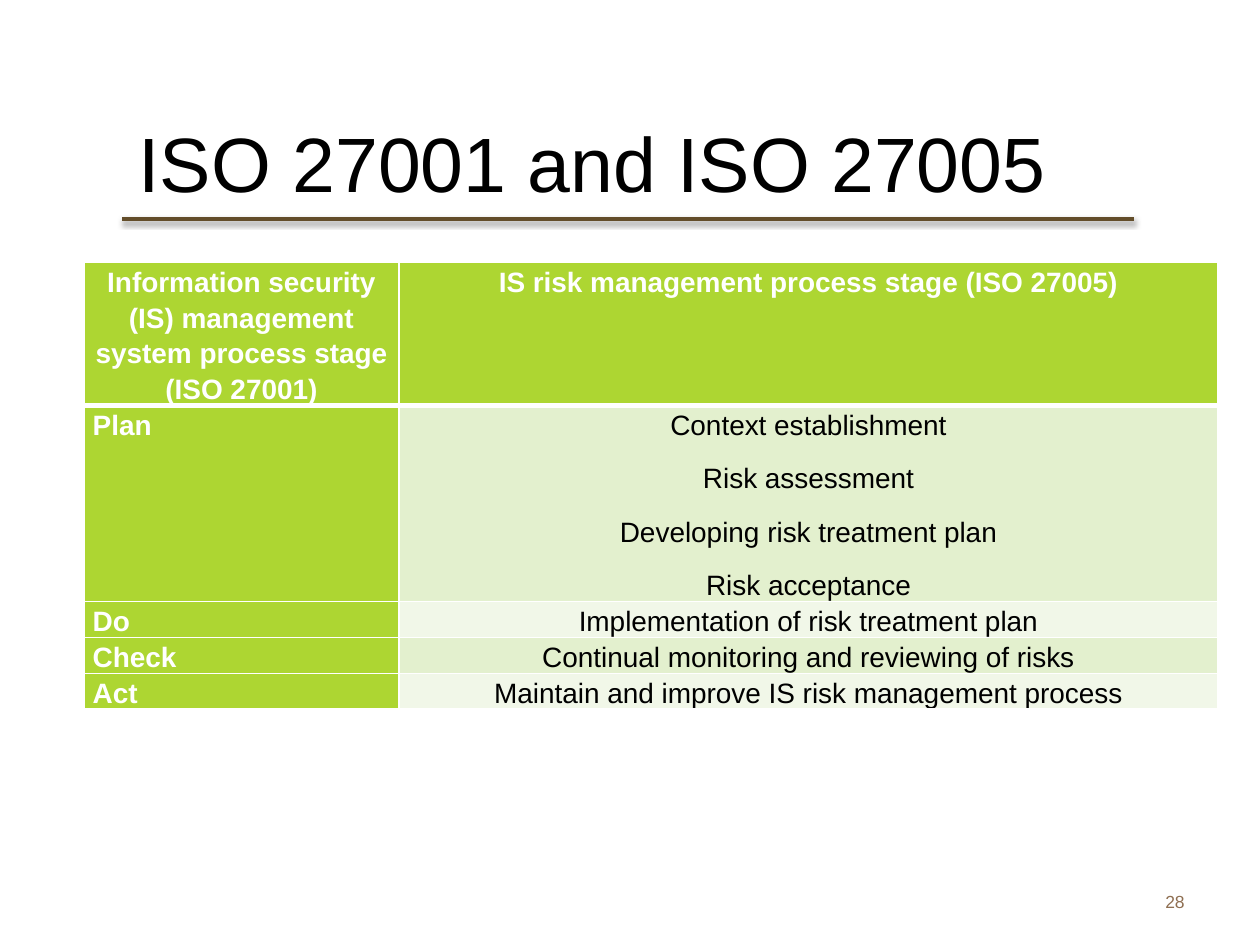
import pptx
import pptx.dml.color
import pptx.enum.text
import pptx.oxml
import pptx.oxml.ns
import pptx.util
from pptx.util import Pt

FONT = "Arial"
WHITE, BLACK = "FFFFFF", "000000"
GREEN, BAND_DARK, BAND_LIGHT = "ADD632", "E3F0CE", "F1F7E8"
BROWN, NUMBER_BROWN = "634D2A", "8F6F52"
ALIGN = pptx.enum.text.PP_ALIGN
ANCHOR = pptx.enum.text.MSO_ANCHOR

HEADERS = [
    "Information security (IS) management system process stage (ISO 27001)",
    "IS risk management process stage (ISO 27005)",
]
STAGES = [
    ("Plan", ["Context establishment", "Risk assessment",
              "Developing risk treatment plan", "Risk acceptance"]),
    ("Do", ["Implementation of risk treatment plan"]),
    ("Check", ["Continual monitoring and reviewing of risks"]),
    ("Act", ["Maintain and improve IS risk management process"]),
]
COLUMN_WIDTHS = [180, 468]
ROW_HEIGHTS = [81.5, 112, 20.4, 20.4, 20.4]


def color(hex_string):
    return pptx.dml.color.RGBColor.from_string(hex_string)


def parse_xml(tag, attributes, content):
    namespace = pptx.oxml.ns.nsdecls("a")
    return pptx.oxml.parse_xml(
        f"<a:{tag} {namespace} {attributes}>{content}</a:{tag}>")


def add_run(paragraph, text, size, hex_color, bold=False):
    run = paragraph.add_run()
    run.text = text
    run.font.name = FONT
    run.font.size = Pt(size)
    run.font.bold = bold
    run.font.color.rgb = color(hex_color)


def add_title(slide, text):
    title = slide.shapes.title
    title.left, title.top, title.width, title.height = Pt(72), Pt(59), Pt(570), Pt(67)
    frame = title.text_frame
    frame.auto_size = pptx.enum.text.MSO_AUTO_SIZE.NONE
    frame.vertical_anchor = ANCHOR.MIDDLE
    paragraph = frame.paragraphs[0]
    paragraph.alignment = ALIGN.LEFT
    add_run(paragraph, text, 44, BLACK)


def add_title_rule(slide):
    rule = slide.shapes.add_connector(
        pptx.enum.shapes.MSO_CONNECTOR.STRAIGHT, Pt(70), Pt(125.3), Pt(648), Pt(125.3))
    rule.line.color.rgb = color(BROWN)
    rule.line.width = Pt(2)
    shadow = (f'<a:outerShdw blurRad="{Pt(3.1)}" dist="{Pt(1.6)}" dir="5400000" '
              f'rotWithShape="0"><a:srgbClr val="{BLACK}"><a:alpha val="38000"/>'
              '</a:srgbClr></a:outerShdw>')
    rule._element.spPr.append(parse_xml("effectLst", "", shadow))


def add_page_number(slide, text):
    box = slide.shapes.add_textbox(Pt(516), Pt(500.5), Pt(168), Pt(28.8))
    frame = box.text_frame
    frame.word_wrap = True
    frame.vertical_anchor = ANCHOR.MIDDLE
    paragraph = frame.paragraphs[0]
    paragraph.alignment = ALIGN.RIGHT
    add_run(paragraph, text, 10, NUMBER_BROWN)


def set_borders(cell, top, bottom):
    properties = cell._tc.get_or_add_tcPr()
    for tag, width in (("lnL", 1), ("lnR", 1), ("lnT", top), ("lnB", bottom)):
        properties.append(parse_xml(
            tag, f'w="{Pt(width)}"',
            f'<a:solidFill><a:srgbClr val="{WHITE}"/></a:solidFill>'))


def fill_cell(cell, lines, fill, text_color, bold, alignment):
    cell.margin_left = cell.margin_right = Pt(5)
    cell.margin_top = cell.margin_bottom = 0
    cell.fill.solid()
    cell.fill.fore_color.rgb = color(fill)
    frame = cell.text_frame
    for index, line in enumerate(lines):
        paragraph = frame.add_paragraph() if index else frame.paragraphs[0]
        paragraph.alignment = alignment
        paragraph.line_spacing = 1.15
        paragraph.space_after = Pt(10)
        add_run(paragraph, line, 16, text_color, bold)


def add_stage_table(slide):
    table = slide.shapes.add_table(
        len(ROW_HEIGHTS), len(COLUMN_WIDTHS), Pt(48), Pt(150),
        Pt(sum(COLUMN_WIDTHS)), Pt(sum(ROW_HEIGHTS))).table
    for column, width in zip(table.columns, COLUMN_WIDTHS):
        column.width = Pt(width)
    for index, height in enumerate(ROW_HEIGHTS):
        table.rows[index].height = Pt(height)
        # A thick rule separates the header from the stages
        for cell in table.rows[index].cells:
            set_borders(cell, 3 if index == 1 else 1, 3 if index == 0 else 1)
    for index, header in enumerate(HEADERS):
        fill_cell(table.cell(0, index), [header], GREEN, WHITE, True, ALIGN.CENTER)
    for row, (stage, activities) in enumerate(STAGES, start=1):
        band = BAND_DARK if row % 2 else BAND_LIGHT
        fill_cell(table.cell(row, 0), [stage], GREEN, WHITE, True, ALIGN.LEFT)
        fill_cell(table.cell(row, 1), activities, band, BLACK, False, ALIGN.CENTER)


def main():
    presentation = pptx.Presentation()
    presentation.slide_width, presentation.slide_height = Pt(720), Pt(540)
    slide = presentation.slides.add_slide(presentation.slide_layouts[5])
    # Heading
    add_title_rule(slide)
    add_title(slide, "ISO 27001 and ISO 27005")
    # Process stages
    add_stage_table(slide)
    # Footer
    add_page_number(slide, "28")
    presentation.save("out.pptx")


if __name__ == "__main__":
    main()
